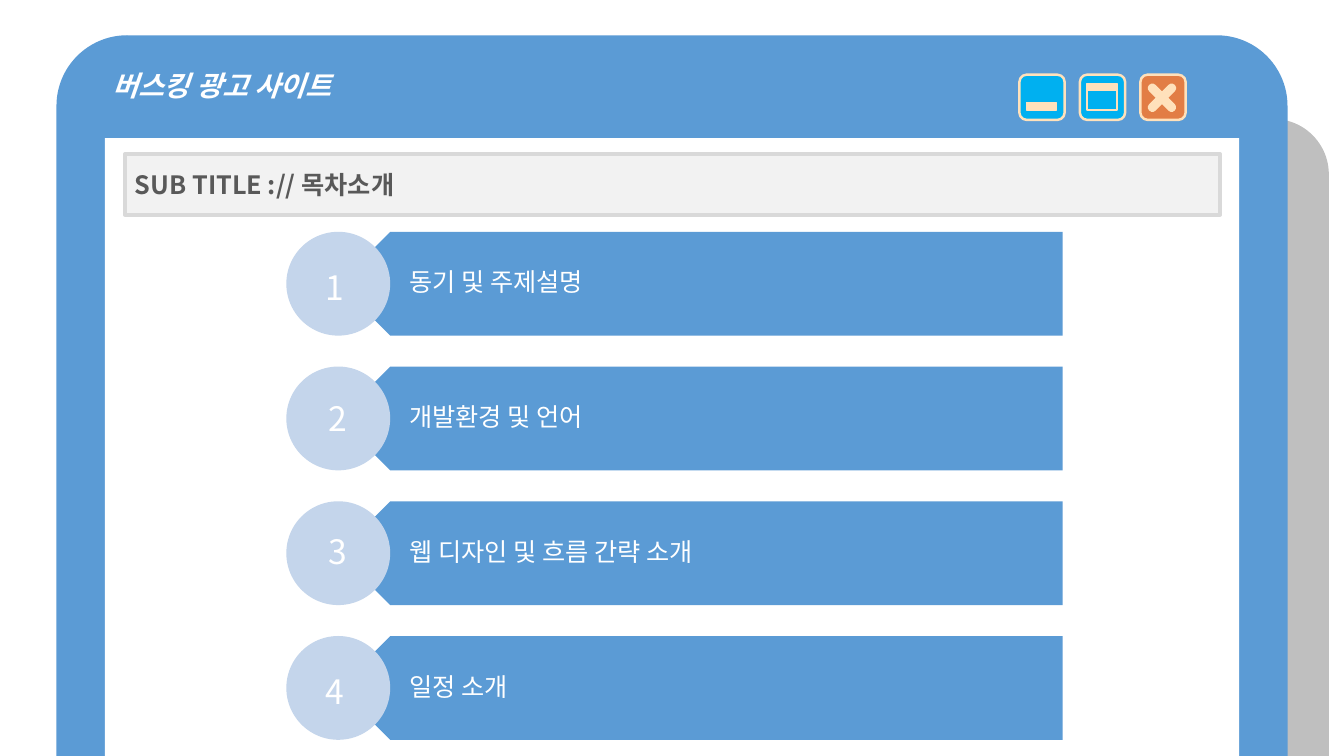
from dataclasses import dataclass
from lxml import etree
from pptx import Presentation
from pptx.dml.color import RGBColor
from pptx.enum.shapes import MSO_SHAPE as SHAPE
from pptx.enum.text import MSO_ANCHOR as ANCHOR, PP_ALIGN as ALIGN
from pptx.oxml.ns import qn
from pptx.util import Inches, Pt

TITLE = "버스킹 광고 사이트"
SUBTITLE = "SUB TITLE :// 목차소개"
AGENDA = [
    ("1", "동기 및 주제설명", (2.97, 2.6)),
    ("2", "개발환경 및 언어", (3, 3.9)),
    ("3", "웹 디자인 및 흐름 간략 소개", (3, 5.22)),
    ("4", "일정 소개", (2.97, 6.61)),
]


@dataclass(frozen=True)
class Theme:
    font: str = "Noto Sans CJK KR"
    blue: str = "5B9BD5"
    pale_blue: str = "C4D5EB"
    sky: str = "00B0F0"
    orange: str = "E27D45"
    cream: str = "FFE1BB"
    white: str = "FFFFFF"
    black: str = "000000"
    panel: str = "F2F2F2"
    border: str = "D9D9D9"
    gray: str = "595959"
    title: int = 20
    body: int = 18
    number: int = 24


T = Theme()
WIDTH, HEIGHT = 13.33, 7.5

prs = Presentation()
prs.slide_width, prs.slide_height = Inches(WIDTH), Inches(HEIGHT)
shapes = prs.slides.add_slide(prs.slide_layouts[6]).shapes


def add_shape(kind, box, fill, line=None, weight=1, adj=(), rotation=0):
    sp = shapes.add_shape(kind, *map(Inches, box))
    sp.shadow.inherit = False
    sp.fill.solid()
    sp.fill.fore_color.rgb = RGBColor.from_string(fill)
    if line:
        sp.line.color.rgb = RGBColor.from_string(line)
        sp.line.width = Pt(weight)
    else:
        sp.line.fill.background()
    for i, value in enumerate(adj):
        sp.adjustments[i] = value
    sp.rotation = rotation
    return sp


def write(sp, text, size, color, align=ALIGN.LEFT, anchor=ANCHOR.MIDDLE,
          insets=(0.1, 0.05, 0.1, 0.05), bold=False, italic=False):
    tf = sp.text_frame
    tf.word_wrap = True
    tf.vertical_anchor = anchor
    tf.margin_left, tf.margin_top, tf.margin_right, tf.margin_bottom = map(Inches, insets)
    tf.text = text
    p = tf.paragraphs[0]
    p.alignment = align
    font = p.runs[0].font
    font.name, font.size = T.font, Pt(size)
    font.bold, font.italic = bold, italic
    font.color.rgb = RGBColor.from_string(color)
    ea = etree.SubElement(p.runs[0]._r.get_or_add_rPr(), qn("a:ea"))
    ea.set("typeface", T.font)
    return p


def add_window():
    left, top, width = 0.56, 0.35, 12.21
    side, bar = 0.48, 1.02
    shadow_left, shadow_top, shadow_width = 10.33, 1.18, 2.85
    shadow = add_shape(SHAPE.ROUND_2_SAME_RECTANGLE,
                       (shadow_left, shadow_top, shadow_width, HEIGHT - shadow_top),
                       T.black, adj=(0.193, 0))
    color = shadow.fill._xPr.find(qn("a:solidFill"))[0]
    etree.SubElement(color, qn("a:alpha")).set("val", "25000")
    frame = add_shape(SHAPE.ROUND_2_SAME_RECTANGLE, (left, top, width, HEIGHT - top),
                      T.blue, adj=(0.098, 0))
    write(frame, TITLE, T.title, T.white, anchor=ANCHOR.TOP,
          insets=(0.35, 0.12, 0.1, 0.05), bold=True, italic=True)
    page_top = top + bar
    add_shape(SHAPE.RECTANGLE,
              (left + side, page_top, width - 2 * side, HEIGHT - page_top), T.white)


def add_buttons():
    left, top, size, pitch = 10.11, 0.74, 0.45, 0.6
    for i, fill in enumerate((T.sky, T.sky, T.orange)):
        add_shape(SHAPE.ROUNDED_RECTANGLE, (left + i * pitch, top, size, size),
                  fill, T.cream, 1.75)
    icon_left, icon_width, strip = left + 0.07, 0.3, 0.07
    icons = [(0, 0.28, strip, T.cream), (1, 0.16, 0.19, T.sky), (1, 0.09, strip, T.cream)]
    for column, drop, height, fill in icons:
        add_shape(SHAPE.RECTANGLE,
                  (icon_left + column * pitch, top + drop, icon_width, height), fill, T.cream)
    for angle in (45, 315):
        add_shape(SHAPE.ROUNDED_RECTANGLE, (left + 2 * pitch + 0.17, top + 0.05, 0.09, 0.36),
                  T.cream, adj=(0.5,), rotation=angle)


def add_agenda():
    left, top, size, right = 2.84, 2.3, 1.03, 10.54
    pitch = (6.31 - top) / (len(AGENDA) - 1)
    arrow_left, label_left = left + size / 2, 3.61
    for i, (number, label, spot) in enumerate(AGENDA):
        y = top + i * pitch
        add_shape(SHAPE.PENTAGON, (arrow_left, y, right - arrow_left, size),
                  T.blue, rotation=180)
        box = shapes.add_textbox(*map(Inches, (label_left, y, right - label_left, size)))
        p = write(box, label, T.body, T.white, insets=(0.45, 0.07, 0.14, 0.07))
        p.line_spacing = 0.9
        add_shape(SHAPE.OVAL, (left, y, size, size), T.pale_blue)
        box = shapes.add_textbox(*map(Inches, (*spot, 0.71, 0.5)))
        write(box, number, T.number, T.white, ALIGN.CENTER, ANCHOR.TOP)


def main():
    add_window()
    add_buttons()
    banner = add_shape(SHAPE.RECTANGLE, (1.24, 1.53, 10.86, 0.6), T.panel, T.border, 3)
    write(banner, SUBTITLE, T.body, T.gray, bold=True)
    add_agenda()
    prs.save("out.pptx")


if __name__ == "__main__":
    main()
